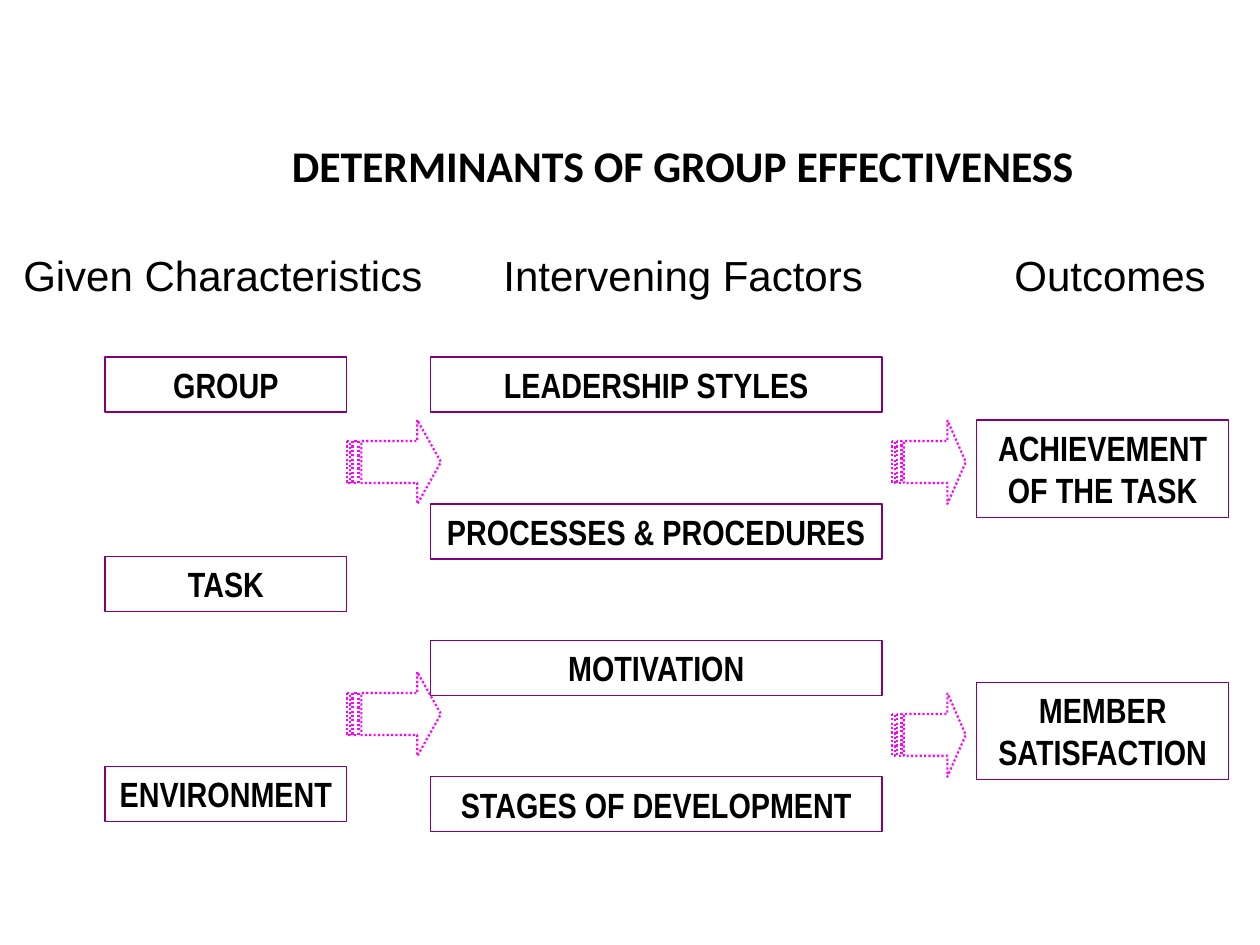
from lxml.etree import SubElement
from pptx import Presentation
from pptx.dml.color import RGBColor
from pptx.enum.dml import MSO_LINE
from pptx.enum.shapes import MSO_SHAPE as Shape
from pptx.enum.text import MSO_ANCHOR as Anchor, MSO_AUTO_SIZE as AutoSize, PP_ALIGN as Align
from pptx.oxml.ns import qn
from pptx.util import Cm, Pt

COLORS = {"text": "000000", "box": "800080", "arrow": "FF00FF"}
ARROW_HEIGHT = 1.69


def color(name):
    return RGBColor.from_string(COLORS[name])


def add_run(paragraph, text, font, size, bold=False):
    run = paragraph.add_run()
    run.text = text
    run.font.name, run.font.size, run.font.bold = font, Pt(size), bold
    run.font.color.rgb = color("text")


def set_outline(shape, name, width):
    shape.shadow.inherit = False
    shape.fill.background()
    shape.line.color.rgb = color(name)
    shape.line.width = Pt(width)


def place_title(slide, left, top, width, height):
    title = slide.shapes.title
    title.left, title.top, title.width, title.height = map(Cm, (left, top, width, height))
    frame = title.text_frame
    frame.auto_size = AutoSize.NONE
    frame.vertical_anchor = Anchor.TOP
    frame.margin_top, frame.margin_bottom = Cm(0.89), Cm(0)
    heading = frame.paragraphs[0]
    heading.alignment = Align.CENTER
    add_run(heading, "DETERMINANTS OF GROUP EFFECTIVENESS", "Calibri", 25, True)


def add_column_headings(slide, left, top, width, height):
    frame = slide.shapes.add_textbox(Cm(left), Cm(top), Cm(width), Cm(height)).text_frame
    frame.word_wrap = True
    frame.margin_top = Cm(0.38)
    headings = frame.paragraphs[0]
    # Tab stops line the headings up with their columns
    properties = headings._p.get_or_add_pPr()
    properties.set("marL", str(Cm(0.22)))
    tabs = SubElement(properties, qn("a:tabLst"))
    for stop in (9.68, 19.98):
        SubElement(tabs, qn("a:tab"), pos=str(Cm(stop)), algn="l")
    add_run(headings, "Given Characteristics\tIntervening Factors\tOutcomes", "Arial", 24)


def add_column(slide, left, top, width, box_height, entries):
    """Stack outlined boxes; entries maps each label to its offset from top."""
    for label, offset in entries.items():
        box = slide.shapes.add_shape(
            Shape.RECTANGLE, Cm(left), Cm(top + offset), Cm(width), Cm(box_height))
        set_outline(box, "box", 0.75)
        frame = box.text_frame
        frame.word_wrap = True
        frame.vertical_anchor = Anchor.TOP
        paragraph = frame.paragraphs[0]
        paragraph.alignment = Align.CENTER
        add_run(paragraph, label, "Arial Narrow", 20, True)


def add_striped_arrow(slide, left, top, width, height):
    # Contours as fractions of the arrow's box: head with shaft, then two stripes
    head = [(0.75, 0), (0.75, 0.25), (5 / 32, 0.25), (5 / 32, 0.75),
            (0.75, 0.75), (0.75, 1), (1, 0.5)]
    stripes = [[(a, 0.25), (a, 0.75), (b, 0.75), (b, 0.25)]
               for a, b in ((1 / 16, 1 / 8), (0, 1 / 32))]
    builder = None
    for contour in (head, *stripes):
        start, *rest = [(Cm(left + x * width), Cm(top + y * height)) for x, y in contour]
        if builder is None:
            builder = slide.shapes.build_freeform(*start)
        else:
            builder.move_to(*start)
        builder.add_line_segments(rest, close=True)
    arrow = builder.convert_to_shape()
    set_outline(arrow, "arrow", 1.25)
    arrow.line.dash_style = MSO_LINE.ROUND_DOT


def add_arrow_pair(slide, left, top, width, gap):
    for offset in (0, gap):
        add_striped_arrow(slide, left, top + offset, width, ARROW_HEIGHT)


def main():
    prs = Presentation()
    prs.slide_width, prs.slide_height = Cm(25.4), Cm(19.05)
    slide = prs.slides.add_slide(prs.slide_layouts[5])

    place_title(slide, 1.06, 1.9, 25.4, 1.69)

    # Outcomes
    add_column(slide, 19.69, 8.47, 5.08, 1.96,
               {"ACHIEVEMENT OF THE TASK": 0, "MEMBER SATISFACTION": 5.29})
    # Intervening factors
    add_column(slide, 8.68, 7.2, 9.1, 1.11,
               {"LEADERSHIP STYLES": 0, "PROCESSES & PROCEDURES": 2.96,
                "MOTIVATION": 5.71, "STAGES OF DEVELOPMENT": 8.46})
    add_arrow_pair(slide, 17.99, 8.47, 1.48, 5.5)
    # Given characteristics
    add_column(slide, 2.12, 7.2, 4.87, 1.11,
               {"GROUP": 0, "TASK": 4.02, "ENVIRONMENT": 8.25})
    add_arrow_pair(slide, 6.99, 8.47, 1.9, 5.08)

    add_column_headings(slide, 0, 4.66, 25.83, 1.45)
    prs.save("out.pptx")


if __name__ == "__main__":
    main()
